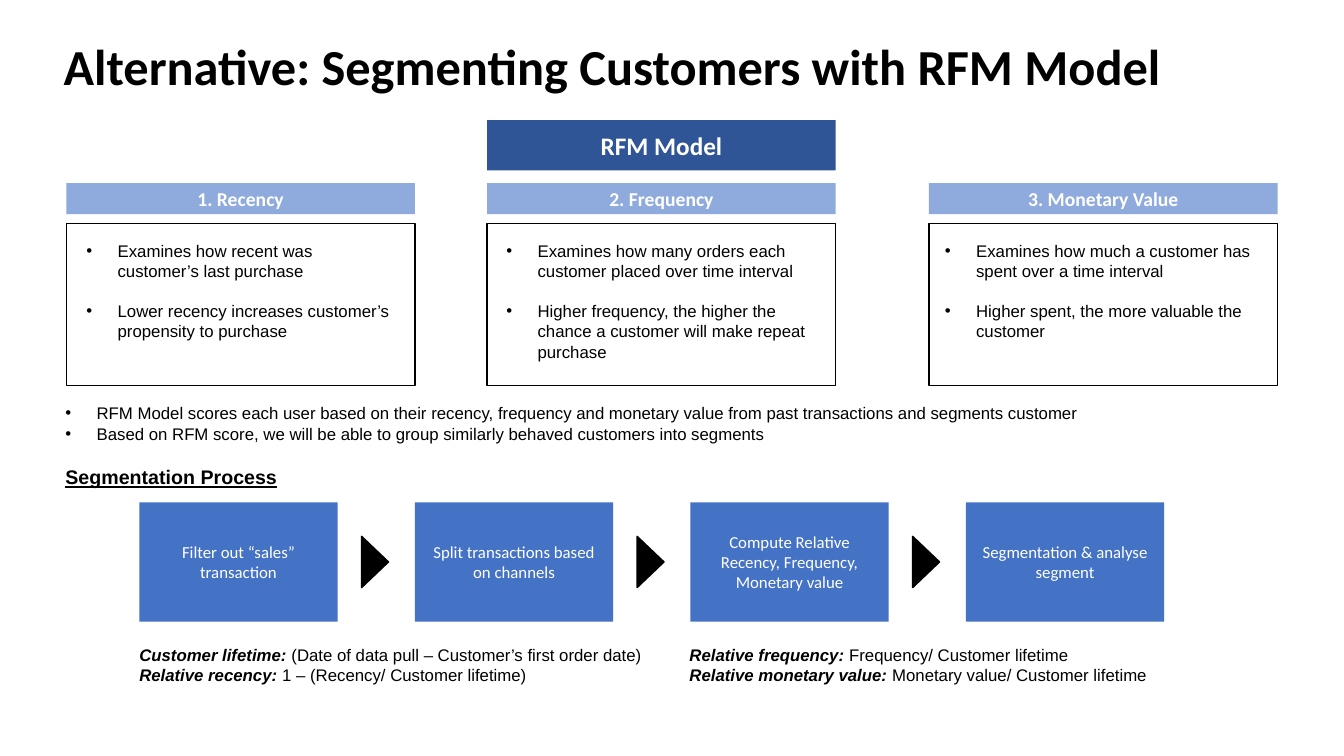
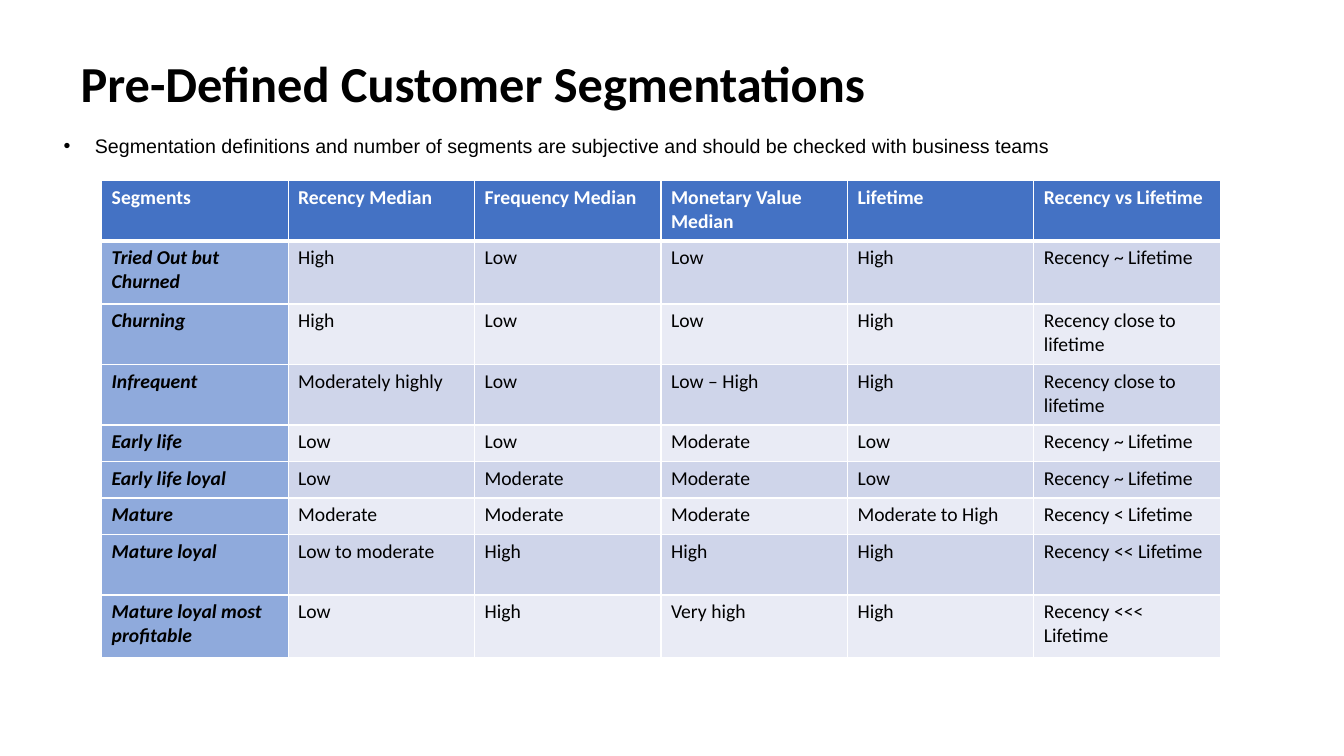
from lxml.etree import SubElement
from pptx import Presentation
from pptx.dml.color import RGBColor
from pptx.enum.shapes import MSO_SHAPE
from pptx.enum.text import MSO_ANCHOR, PP_ALIGN
from pptx.oxml.ns import qn
from pptx.util import Inches, Pt

COLS, ROWS = 160, 90
WIDTH, HEIGHT = Inches(13.33), Inches(7.5)
HUES = {
    "ink": "000000", "paper": "FFFFFF", "navy": "2F5597", "blue": "4472C4",
    "sky": "8FAADC", "band": "CFD5EA", "pale": "E9EBF5",
}
HEAD, BODY = "Calibri", "Arial"
INDENT = Inches(0.31)

# Left edge, inset of the notes, heading, notes
PARTS = [
    (7.9, 1.2, "1. Recency", [
        "Examines how recent was customer’s last purchase",
        "Lower recency increases customer’s propensity to purchase"]),
    (58, 1.1, "2. Frequency", [
        "Examines how many orders each customer placed over time interval",
        "Higher frequency, the higher the chance a customer will make repeat purchase"]),
    (110.6, 0.7, "3. Monetary Value", [
        "Examines how much a customer has spent over a time interval",
        "Higher spent, the more valuable the customer"]),
]
PART_WIDTH = 41.5
POINTS = [
    "RFM Model scores each user based on their recency, frequency and monetary value "
    "from past transactions and segments customer",
    "Based on RFM score, we will be able to group similarly behaved customers into segments",
]
STEPS = [
    "Filter out “sales” transaction",
    "Split transactions based on channels",
    "Compute Relative Recency, Frequency, Monetary value",
    "Segmentation & analyse segment",
]
STEP_PITCH = 32.8
TERMS = [
    (15.4, 68, [
        ("Customer lifetime: ", "(Date of data pull – Customer’s first order date)"),
        ("Relative recency: ", "1 – (Recency/ Customer lifetime)")]),
    (80.9, 73, [
        ("Relative frequency: ", "Frequency/ Customer lifetime"),
        ("Relative monetary value: ", "Monetary value/ Customer lifetime")]),
]
# Row height, cell texts
SEGMENTS = [
    (7.2, ["Segments", "Recency Median", "Frequency Median",
           "Monetary Value Median", "Lifetime", "Recency vs Lifetime"]),
    (7.5, ["Tried Out but Churned", "High", "Low", "Low", "High", "Recency ~ Lifetime"]),
    (7.2, ["Churning", "High", "Low", "Low", "High", "Recency close to lifetime"]),
    (7.2, ["Infrequent", "Moderately highly", "Low", "Low – High", "High",
           "Recency close to lifetime"]),
    (4.35, ["Early life", "Low", "Low", "Moderate", "Low", "Recency ~ Lifetime"]),
    (4.35, ["Early life loyal", "Low", "Moderate", "Moderate", "Low", "Recency ~ Lifetime"]),
    (4.35, ["Mature", "Moderate", "Moderate", "Moderate", "Moderate to High",
            "Recency < Lifetime"]),
    (7.2, ["Mature loyal", "Low to moderate", "High", "High", "High", "Recency << Lifetime"]),
    (7.5, ["Mature loyal most profitable", "Low", "High", "Very high", "High",
           "Recency <<< Lifetime"]),
]


def grid(x, y, w, h):
    """Turn grid columns and rows into slide lengths."""
    return [int(WIDTH * x / COLS), int(HEIGHT * y / ROWS),
            int(WIDTH * w / COLS), int(HEIGHT * h / ROWS)]


def hue(name):
    return RGBColor.from_string(HUES[name])


def style(run, size, face=BODY, color="ink", bold=False, slant=False, under=False):
    font = run.font
    font.size, font.name = Pt(size), face
    font.bold, font.italic, font.underline = bold, slant, under
    font.color.rgb = hue(color)


def write(frame, lines, size, **look):
    frame.text = "\n".join(lines)
    for para in frame.paragraphs:
        for run in para.runs:
            style(run, size, **look)


def add_text(slide, box, lines, size, **look):
    frame = slide.shapes.add_textbox(*grid(*box)).text_frame
    frame.word_wrap = True
    write(frame, lines, size, **look)
    return frame


def add_title(slide, x, y, text):
    frame = add_text(slide, (x, y, 138, 8.4), [text], 36, face=HEAD, bold=True)
    frame.vertical_anchor = MSO_ANCHOR.MIDDLE
    frame.paragraphs[0].line_spacing = 0.9


def add_list(slide, box, lines, size=12, gap=0):
    frame = add_text(slide, box, lines, size)
    for i, para in enumerate(frame.paragraphs):
        props = para._p.get_or_add_pPr()
        props.set("marL", str(INDENT))
        props.set("indent", str(-INDENT))
        if i and gap:
            para.space_before = Pt(gap)
        SubElement(props, qn("a:buFont"), typeface=BODY)
        SubElement(props, qn("a:buChar"), char="•")


def add_terms(slide, box, pairs):
    """Write each term in bold italics, then its meaning."""
    frame = add_text(slide, box, [term for term, _ in pairs], 12, bold=True, slant=True)
    for para, (_, sense) in zip(frame.paragraphs, pairs):
        run = para.add_run()
        run.text = sense
        style(run, 12)


def add_box(slide, box, fill=None, line=None, kind=MSO_SHAPE.RECTANGLE):
    shape = slide.shapes.add_shape(kind, *grid(*box))
    shape.shadow.inherit = False
    if fill:
        shape.fill.solid()
        shape.fill.fore_color.rgb = hue(fill)
    else:
        shape.fill.background()
    if line:
        shape.line.color.rgb = hue(line)
        shape.line.width = Pt(1)
    else:
        shape.line.fill.background()
    return shape


def add_label(slide, box, fill, text, size, bold=True):
    frame = add_box(slide, box, fill).text_frame
    write(frame, [text], size, face=HEAD, color="paper", bold=bold)
    frame.vertical_anchor = MSO_ANCHOR.MIDDLE
    frame.paragraphs[0].alignment = PP_ALIGN.CENTER


def add_edges(cell, top, base):
    """Give a cell white borders, with the top and bottom widths in points."""
    props = cell._tc.get_or_add_tcPr()
    for side, width in (("L", 1), ("R", 1), ("T", top), ("B", base)):
        edge = SubElement(props, qn("a:ln" + side), w=str(Pt(width)))
        fill = SubElement(edge, qn("a:solidFill"))
        SubElement(fill, qn("a:srgbClr"), val=HUES["paper"])


def add_table(slide, x, y, pitch, rows):
    count = len(rows[0][1])
    box = grid(x, y, pitch * count, sum(high for high, _ in rows))
    table = slide.shapes.add_table(len(rows), count, *box).table
    table.horz_banding = False
    for col in table.columns:
        col.width = grid(0, 0, pitch, 0)[2]
    for r, (high, texts) in enumerate(rows):
        table.rows[r].height = grid(0, 0, 0, high)[3]
        for c, text in enumerate(texts):
            cell = table.cell(r, c)
            add_edges(cell, 3 if r == 1 else 1, 3 if r == 0 else 1)
            if r == 0:
                fill = "blue"
            elif c == 0:
                fill = "sky"
            else:
                fill = "band" if r % 2 else "pale"
            cell.fill.solid()
            cell.fill.fore_color.rgb = hue(fill)
            write(cell.text_frame, [text], 14, face=HEAD,
                  color="ink" if r else "paper",
                  bold=r == 0 or c == 0, slant=r > 0 and c == 0)


def draw_model(slide):
    add_title(slide, 6.4, 4.1, "Alternative: Segmenting Customers with RFM Model")
    add_label(slide, (58, 14.3, PART_WIDTH, 6), "navy", "RFM Model", 18)
    for x, inset, head, notes in PARTS:
        add_label(slide, (x, 21.8, PART_WIDTH, 3.7), "sky", head, 14)
        add_box(slide, (x, 26.6, PART_WIDTH, 19.3), line="ink")
        add_list(slide, (x + inset, 28.1, 39.5, 15.7), notes, gap=14)
    add_list(slide, (6.6, 47.4, 144.2, 6), POINTS)
    add_text(slide, (6.6, 54.8, 27.7, 4.1), ["Segmentation Process"], 14,
             bold=True, under=True)
    for i, step in enumerate(STEPS):
        shift = i * STEP_PITCH
        add_label(slide, (16.6 + shift, 59.8, 23.6, 14.2), "blue", step, 12, bold=False)
        if i:
            arrow = add_box(slide, (8.8 + shift, 65.3, 6.1, 3.2), "ink", "ink",
                            MSO_SHAPE.ISOSCELES_TRIANGLE)
            arrow.rotation = 90
    for x, wide, pairs in TERMS:
        add_terms(slide, (x, 76.2, wide, 6), pairs)


def draw_segments(slide):
    add_title(slide, 8.4, 6.1, "Pre-Defined Customer Segmentations")
    add_list(slide, (6.4, 15.4, 141.5, 4.1), [
        "Segmentation definitions and number of segments are subjective "
        "and should be checked with business teams"], 14)
    add_table(slide, 12.1, 21.5, 22.2, SEGMENTS)


def main():
    deck = Presentation()
    deck.slide_width, deck.slide_height = WIDTH, HEIGHT
    for draw in (draw_model, draw_segments):
        draw(deck.slides.add_slide(deck.slide_layouts[6]))
    deck.save("out.pptx")


if __name__ == "__main__":
    main()
